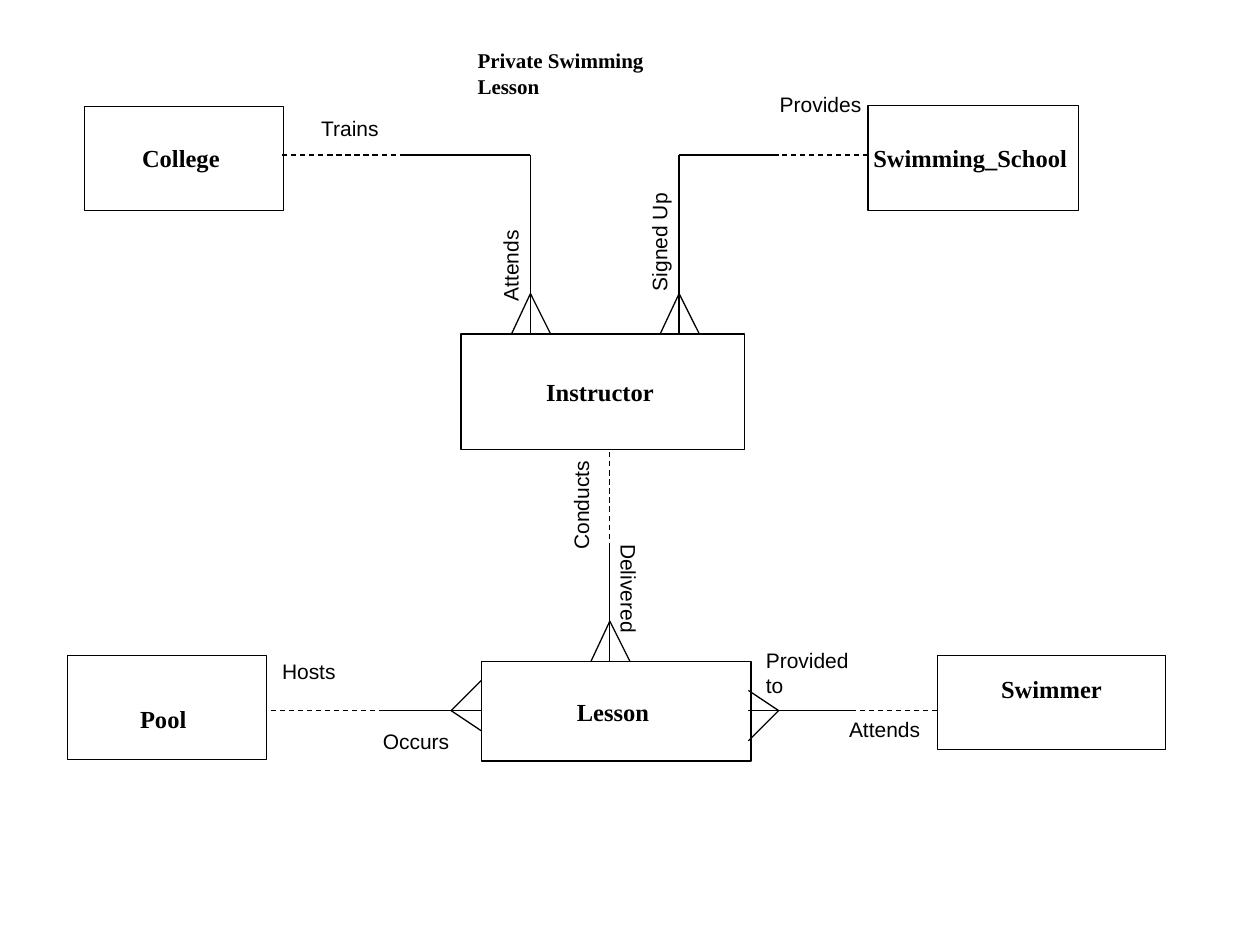
from lxml.etree import SubElement
from pptx import Presentation
from pptx.dml.color import RGBColor
from pptx.enum.dml import MSO_LINE
from pptx.enum.shapes import MSO_CONNECTOR, MSO_SHAPE
from pptx.enum.text import MSO_ANCHOR, MSO_AUTO_SIZE, PP_ALIGN
from pptx.oxml.ns import qn
from pptx.util import Inches, Pt

COLORS = {"ink": "000000", "paper": "FFFFFF"}
HEADING_FONT = "Times New Roman"
LABEL_FONT = "Arial"

ENTITIES = [
    ("Pool ", 0.53, 5.2, 1.58, 0.83, 0.25, 0.22, 0.05),
    ("Instructor ", 3.66, 2.65, 2.25, 0.92, 0.75, 0.05, 0.05),
    ("Swimming_School ", 6.89, 0.84, 1.67, 0.83, 0.75, 0.05, 0.05),
    ("Swimmer", 7.44, 5.2, 1.81, 0.75, 0.75, 0.05, 0.27),
    ("Lesson ", 3.82, 5.25, 2.14, 0.79, 0.75, 0.05, 0.05),
    ("College ", 0.67, 0.84, 1.58, 0.83, 0.25, 0.05, 0.05),
]
MANDATORY_PATHS = [
    [(3.19, 1.23), (4.21, 1.23), (4.21, 2.65)],
    [(6.18, 1.23), (5.39, 1.23), (5.39, 2.65)],
    [(4.84, 4.33), (4.84, 5.25)],
    [(3.03, 5.64), (3.82, 5.64)],
    [(6.75, 5.64), (5.94, 5.64)],
]
OPTIONAL_PATHS = [
    [(2.24, 1.23), (3.19, 1.23)],
    [(6.89, 1.23), (6.1, 1.23)],
    [(4.84, 3.59), (4.84, 4.38)],
    [(2.15, 5.64), (3.03, 5.64)],
    [(7.44, 5.64), (6.65, 5.64)],
]
CROW_FEET = [
    ((4.21, 2.33), (4.06, 2.65), (4.37, 2.65)),
    ((5.39, 2.33), (5.24, 2.65), (5.55, 2.65)),
    ((4.84, 4.93), (4.69, 5.25), (5, 5.25)),
    ((3.58, 5.64), (3.82, 5.4), (3.82, 5.8)),
    ((6.18, 5.64), (5.94, 5.48), (5.94, 5.88)),
]
LABELS = [
    ("Trains", 2.45, 0.87, 1.02, 0.3, 0),
    ("Attends", 3.54, 1.83, 1.02, 0.3, 270),
    ("Provides", 6.09, 0.68, 0.94, 0.3, 0),
    ("Signed Up", 4.72, 1.75, 1.02, 0.3, 270),
    ("Conducts", 4.1, 3.8, 1.02, 0.3, 270),
    ("Delivered", 4.48, 4.58, 1.02, 0.3, 90),
    ("Hosts", 2.14, 5.18, 1.03, 0.3, 0),
    ("Occurs", 2.94, 5.73, 1.03, 0.3, 0),
    ("Provided to", 5.98, 5.09, 0.94, 0.5, 0),
    ("Attends", 6.64, 5.64, 1.03, 0.3, 0),
]


def color(name):
    return RGBColor.from_string(COLORS[name])


def place(shape, left, top, width, height):
    shape.left, shape.top = Inches(left), Inches(top)
    shape.width, shape.height = Inches(width), Inches(height)


def write(paragraph, text, font, size, bold, alignment):
    paragraph.alignment = alignment
    run = paragraph.add_run()
    run.text = text
    run.font.name = font
    run.font.size = Pt(size)
    run.font.bold = bold
    run.font.color.rgb = color("ink")


def set_title(slide, text):
    title = slide.shapes.title
    place(title, 3.69, 0.33, 2.05, 0.3)
    frame = title.text_frame
    frame.word_wrap = False
    frame.auto_size = MSO_AUTO_SIZE.SHAPE_TO_FIT_TEXT
    frame.vertical_anchor = MSO_ANCHOR.TOP
    paragraph = frame.paragraphs[0]
    paragraph.space_before = Pt(0)
    write(paragraph, text, HEADING_FONT, 12, True, PP_ALIGN.LEFT)


def add_entity(slide, text, left, top, width, height, border, inset_top, inset_bottom):
    box = slide.shapes.add_shape(
        MSO_SHAPE.RECTANGLE, Inches(left), Inches(top), Inches(width), Inches(height)
    )
    box.shadow.inherit = False
    box.fill.solid()
    box.fill.fore_color.rgb = color("paper")
    box.line.color.rgb = color("ink")
    box.line.width = Pt(border)
    frame = box.text_frame
    frame.word_wrap = False
    frame.vertical_anchor = MSO_ANCHOR.MIDDLE
    frame.margin_top, frame.margin_bottom = Inches(inset_top), Inches(inset_bottom)
    write(frame.paragraphs[0], text, HEADING_FONT, 14, True, PP_ALIGN.CENTER)


def add_path(slide, points, dashed=False):
    for start, end in zip(points, points[1:]):
        line = slide.shapes.add_connector(
            MSO_CONNECTOR.STRAIGHT, *(Inches(value) for value in start + end)
        )
        line.line.color.rgb = color("ink")
        line.line.width = Pt(0.75)
        if dashed:
            line.line.dash_style = MSO_LINE.DASH
        SubElement(line._element.spPr, qn("a:effectLst"))


def add_label(slide, text, left, top, width, height, rotation):
    label = slide.shapes.add_textbox(
        Inches(left), Inches(top), Inches(width), Inches(height)
    )
    label.rotation = rotation
    frame = label.text_frame
    frame.word_wrap = True
    frame.auto_size = MSO_AUTO_SIZE.SHAPE_TO_FIT_TEXT
    paragraph = frame.paragraphs[0]
    paragraph.space_before = Pt(7.5)
    write(paragraph, text, LABEL_FONT, 12, False, PP_ALIGN.LEFT)


def main():
    presentation = Presentation()
    presentation.slide_width, presentation.slide_height = Inches(10), Inches(7.5)
    slide = presentation.slides.add_slide(presentation.slide_layouts[5])
    set_title(slide, "Private Swimming Lesson")
    for entity in ENTITIES:
        add_entity(slide, *entity)
    for points in MANDATORY_PATHS:
        add_path(slide, points)
    for points in OPTIONAL_PATHS:
        add_path(slide, points, dashed=True)
    for apex, first_toe, last_toe in CROW_FEET:
        add_path(slide, [first_toe, apex, last_toe])
    for label in LABELS:
        add_label(slide, *label)
    presentation.save("out.pptx")


if __name__ == "__main__":
    main()
